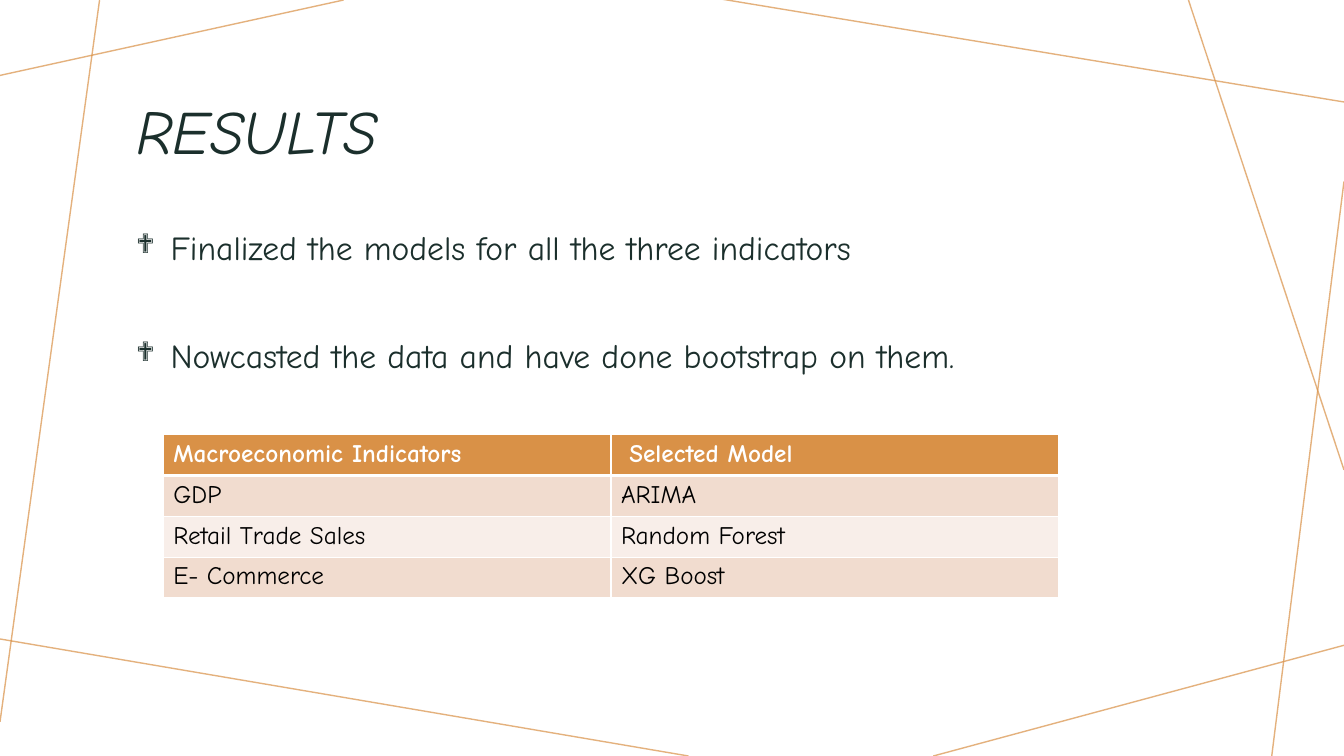
import pptx
import pptx.dml.color
import pptx.enum.shapes
import pptx.enum.text
import pptx.oxml.ns
import pptx.util
from lxml import etree

Cm, Pt = pptx.util.Cm, pptx.util.Pt
FONT = "Comic Neue"
INK, ORANGE, WHITE, BLACK = "1B2F2C", "D99147", "FFFFFF", "000000"
BANDS = ["F1DCCF", "F8EEE9"]

# Start and end of each background line, in cm
BACKGROUND_LINES = [
    (8.66, 0, 0, 1.9),
    (2.51, 0, 0, 18.19),
    (17.35, 19.05, -0.13, 16.08),
    (33.87, 16.26, 23.52, 19.05),
    (33.87, 4.57, 32.05, 19.05),
    (33.87, 11.84, 29.95, 0),
    (33.87, 2.57, 18.14, -0.03),
]
BULLETS = [
    "Finalized the models for all the three indicators",
    "Nowcasted the data and have done bootstrap on them.",
]
MODELS = [
    ("Macroeconomic Indicators", "Selected Model"),
    ("GDP", "ARIMA"),
    ("Retail Trade Sales", "Random Forest"),
    ("E- Commerce", "XG Boost"),
]


def color(value):
    return pptx.dml.color.RGBColor.from_string(value)


def add_node(parent, tag, **attributes):
    node = etree.SubElement(parent, pptx.oxml.ns.qn(tag))
    for name, value in attributes.items():
        node.set(name, str(value))
    return node


def style_text(para, size, value, bold=False, italic=False):
    for span in para.runs:
        span.font.name = FONT
        span.font.size = Pt(size)
        span.font.bold = bold
        span.font.italic = italic
        span.font.color.rgb = color(value)


def add_background(page):
    for x1, y1, x2, y2 in BACKGROUND_LINES:
        line = page.shapes.add_connector(
            pptx.enum.shapes.MSO_CONNECTOR.STRAIGHT, Cm(x1), Cm(y1), Cm(x2), Cm(y2))
        line.line.width = Pt(1)
        line.line.color.rgb = color(ORANGE)
        properties = line._element.spPr
        tint = properties.find(".//" + pptx.oxml.ns.qn("a:srgbClr"))
        add_node(tint, "a:alpha", val=70000)
        add_node(properties, "a:effectLst")


def add_text_frame(page, left, top, width, height):
    box = page.shapes.add_textbox(Cm(left), Cm(top), Cm(width), Cm(height))
    box.text_frame.word_wrap = True
    return box.text_frame


def add_title(page, text, *box):
    frame = add_text_frame(page, *box)
    frame.vertical_anchor = pptx.enum.text.MSO_ANCHOR.MIDDLE
    para = frame.paragraphs[0]
    para.text = text
    para.line_spacing = 0.9
    style_text(para, 44, INK, italic=True)


def add_bullets(page, texts, *box):
    frame = add_text_frame(page, *box)
    frame.text = "\n".join(texts)
    for index, para in enumerate(frame.paragraphs):
        para.space_before = Pt(48.5 if index else 10)
        style_text(para, 24, INK)
        properties = para._p.get_or_add_pPr()
        properties.set("marL", str(Cm(0.87)))
        properties.set("indent", str(-Cm(0.87)))
        add_node(properties, "a:buSzPct", val=80000)
        add_node(properties, "a:buFont", typeface="Wingdings")
        add_node(properties, "a:buChar", char="❖")


def add_borders(cell, bottom, top):
    properties = cell._tc.get_or_add_tcPr()
    for side, width in (("L", 1), ("R", 1), ("T", top), ("B", bottom)):
        border = add_node(properties, "a:ln" + side, w=Pt(width))
        add_node(add_node(border, "a:solidFill"), "a:srgbClr", val=WHITE)


def add_models_table(page, rows, left, top, width, height):
    columns = len(rows[0])
    table = page.shapes.add_table(
        len(rows), columns, Cm(left), Cm(top), Cm(width), Cm(height)).table
    table.horz_banding = False
    for column in table.columns:
        column.width = Cm(width / columns)
    for r, texts in enumerate(rows):
        table.rows[r].height = Cm(height / len(rows))
        header = r == 0
        for c, text in enumerate(texts):
            cell = table.cell(r, c)
            add_borders(cell, bottom=3 if header else 1, top=3 if r == 1 else 1)
            cell.fill.solid()
            cell.fill.fore_color.rgb = color(ORANGE if header else BANDS[(r - 1) % 2])
            cell.margin_left = Cm(0.46 if header and c else 0.25)
            para = cell.text_frame.paragraphs[0]
            para.text = text
            style_text(para, 18, WHITE if header else BLACK, bold=header)


def main():
    deck = pptx.Presentation()
    deck.slide_width, deck.slide_height = Cm(33.87), Cm(19.05)
    page = deck.slides.add_slide(deck.slide_layouts[6])
    add_background(page)
    add_title(page, "RESULTS", 3.18, 1.47, 27.51, 3.84)
    add_bullets(page, BULLETS, 3.18, 5.59, 27.51, 11.18)
    add_models_table(page, MODELS, 4.12, 10.95, 22.56, 4.12)
    deck.save("out.pptx")


if __name__ == "__main__":
    main()
